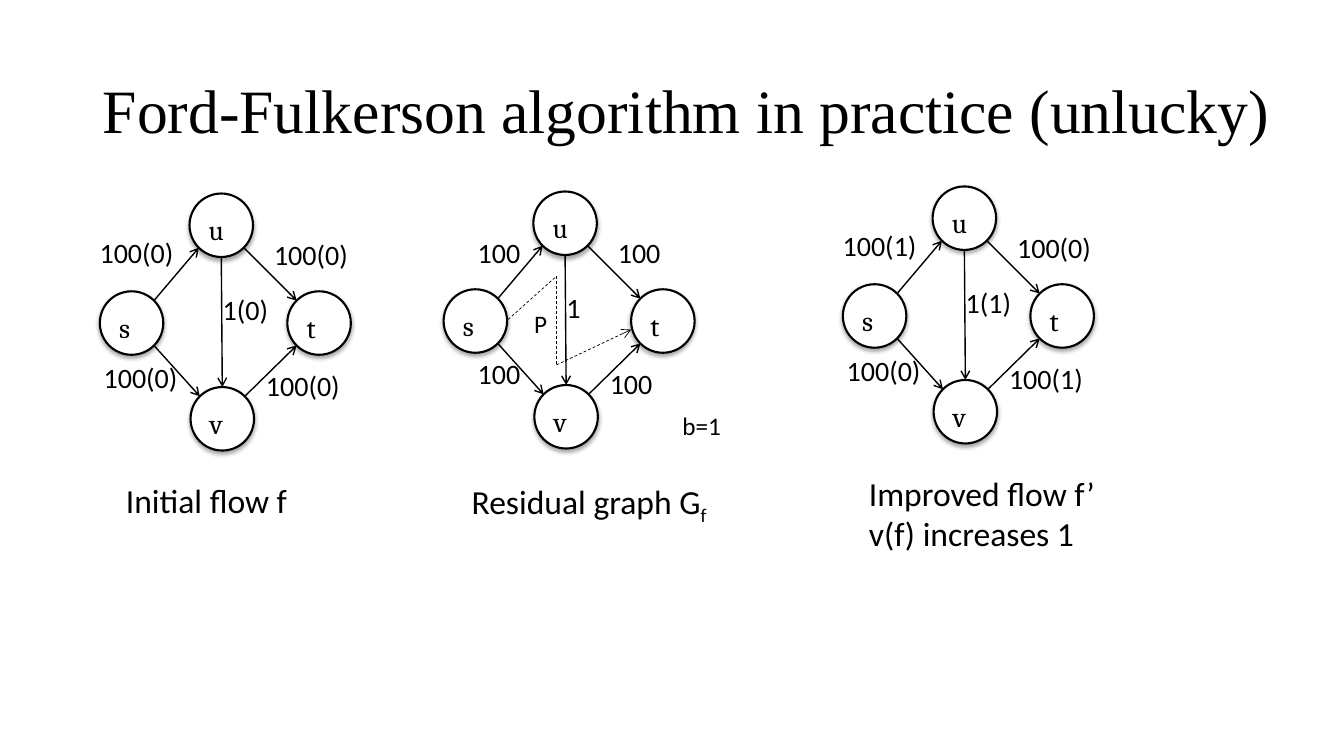
from lxml import etree
from pptx import Presentation
from pptx.dml.color import RGBColor
from pptx.enum.dml import MSO_LINE
from pptx.enum.shapes import MSO_CONNECTOR, MSO_SHAPE
from pptx.enum.text import MSO_ANCHOR, MSO_AUTO_SIZE, PP_ALIGN
from pptx.oxml.ns import qn
from pptx.util import Inches, Pt

STRAIGHT = MSO_CONNECTOR.STRAIGHT
OVAL = MSO_SHAPE.OVAL
DASH = MSO_LINE.DASH
TOP, MIDDLE = MSO_ANCHOR.TOP, MSO_ANCHOR.MIDDLE
LEFT = PP_ALIGN.LEFT
FIT_SHAPE, NO_FIT = MSO_AUTO_SIZE.SHAPE_TO_FIT_TEXT, MSO_AUTO_SIZE.NONE

BLACK, WHITE = "000000", "FFFFFF"
DIAMETER = 0.63
RADIUS = DIAMETER / 2
DIAGONAL = RADIUS * 0.5 ** 0.5

# Offsets from the left edge of node s and the top edge of node u
NODES = {"u": (0.89, 0), "t": (1.86, 0.97), "s": (0, 0.97), "v": (0.9, 1.92)}
LABEL_PLACES = {"su": (-0.1, 0.37), "ut": (1.63, 0.39), "sv": (-0.06, 1.61),
                "vt": (1.55, 1.69), "uv": (1.12, 0.93)}
RESIDUAL_PLACES = {**LABEL_PLACES, "su": (0.24, 0.39), "sv": (0.24, 1.59)}
LABEL_WIDTHS = {1: 0.34, 3: 0.64, 4: 0.66, 6: 0.94}


def colour(hex_string):
    return RGBColor.from_string(hex_string)


def add_span(para, text, size=20, font="Calibri", subscript=False):
    span = para.add_run()
    span.text = text
    span.font.size = Pt(size)
    span.font.name = font
    span.font.color.rgb = colour(BLACK)
    if subscript:
        span._r.get_or_add_rPr().set("baseline", "-25000")


def add_text(slide, text, left, top, width, height=0.44, size=20):
    """Add an unwrapped text box with one paragraph per line of text."""
    box = slide.shapes.add_textbox(Inches(left), Inches(top), Inches(width), Inches(height))
    frame = box.text_frame
    frame.word_wrap = False
    frame.auto_size = FIT_SHAPE
    for index, line in enumerate(text.split("\n")):
        para = frame.add_paragraph() if index else frame.paragraphs[0]
        add_span(para, line, size=size)
    return box


def add_line(slide, start, end, width=1, dashed=False, arrow=True):
    line = slide.shapes.add_connector(STRAIGHT, *(Inches(value) for value in (*start, *end)))
    line.line.color.rgb = colour(BLACK)
    line.line.width = Pt(width)
    if dashed:
        line.line.dash_style = DASH
    if arrow:
        etree.SubElement(line.line._get_or_add_ln(), qn("a:tailEnd"), type="arrow")
    etree.SubElement(line._element.spPr, qn("a:effectLst"))


def add_shadow(shape):
    effects = etree.SubElement(shape._element.spPr, qn("a:effectLst"))
    shadow = etree.SubElement(effects, qn("a:outerShdw"), blurRad=str(Pt(3)),
                              dist=str(Pt(2)), dir="5400000", rotWithShape="0")
    black = etree.SubElement(shadow, qn("a:srgbClr"), val=BLACK)
    etree.SubElement(black, qn("a:alpha"), val="35000")


def add_node(slide, name, left, top):
    node = slide.shapes.add_shape(OVAL, Inches(left), Inches(top),
                                  Inches(DIAMETER), Inches(DIAMETER))
    node.fill.solid()
    node.fill.fore_color.rgb = colour(WHITE)
    node.line.color.rgb = colour(BLACK)
    node.line.width = Pt(1.5)
    add_shadow(node)
    frame = node.text_frame
    frame.vertical_anchor = TOP
    frame.margin_left = frame.margin_right = Inches(0.1)
    frame.margin_top = frame.margin_bottom = Inches(0.1)
    para = frame.paragraphs[0]
    para.alignment = LEFT
    add_span(para, name, font="Cambria")


def edge_ends(source, target):
    """Return where an edge leaves and meets the rims of two nodes."""
    (x1, y1), (x2, y2) = source, target
    down = 1 if y2 > y1 else -1
    if abs(x2 - x1) < RADIUS:
        return (x1, y1 + down * RADIUS), (x2, y2 - down * RADIUS)
    return (x1 + DIAGONAL, y1 + down * DIAGONAL), (x2 - DIAGONAL, y2 - down * DIAGONAL)


def add_graph(slide, left, top, labels, places=LABEL_PLACES):
    centres = {}
    for name, (dx, dy) in NODES.items():
        add_node(slide, name, left + dx, top + dy)
        centres[name] = (left + dx + RADIUS, top + dy + RADIUS)
    for (source, target), label in labels.items():
        add_line(slide, *edge_ends(centres[source], centres[target]))
        dx, dy = places[source + target]
        add_text(slide, label, left + dx, top + dy, LABEL_WIDTHS[len(label)])


def add_augmenting_path(slide):
    corners = [(5.04, 3.17), (5.52, 2.74), (5.52, 3.62), (6.26, 3.27)]
    for start, end in zip(corners, corners[1:]):
        add_line(slide, start, end, width=0.5, dashed=True, arrow=end == corners[-1])
    add_text(slide, "P", 5.2, 3.01, 0.33, 0.4, size=18)


def set_title(slide, text):
    title = slide.shapes.title
    title.left, title.top = Inches(0.92), Inches(0.4)
    title.width, title.height = Inches(11.9), Inches(1.45)
    frame = title.text_frame
    frame.vertical_anchor = MIDDLE
    frame.auto_size = NO_FIT
    para = frame.paragraphs[0]
    para.alignment = LEFT
    para.line_spacing = 0.9
    add_span(para, text, size=44, font="Times New Roman")


def main():
    deck = Presentation()
    deck.slide_width, deck.slide_height = Inches(13.33), Inches(7.5)
    slide = deck.slides.add_slide(deck.slide_layouts[5])
    set_title(slide, "Ford-Fulkerson algorithm in practice (unlucky)")

    add_graph(slide, 0.99, 1.92, {"su": "100(0)", "ut": "100(0)", "sv": "100(0)",
                                  "vt": "100(0)", "uv": "1(0)"})
    add_text(slide, "Initial flow f", 1.15, 4.71, 1.82, 0.5, size=24)

    add_graph(slide, 4.4, 1.9, {"su": "100", "ut": "100", "sv": "100",
                                "vt": "100", "uv": "1"}, RESIDUAL_PLACES)
    add_augmenting_path(slide)
    caption = add_text(slide, "Residual graph G", 4.58, 4.72, 2.56, 0.5, size=24)
    add_span(caption.text_frame.paragraphs[0], "f", size=24, subscript=True)
    add_text(slide, "b=1", 6.67, 4.02, 0.59, 0.4, size=18)

    add_graph(slide, 8.36, 1.85, {"su": "100(1)", "ut": "100(0)", "sv": "100(0)",
                                  "vt": "100(1)", "uv": "1(1)"})
    add_text(slide, "Improved flow f’\nv(f) increases 1", 8.52, 4.64, 2.47, 0.91, size=24)

    deck.save("out.pptx")


if __name__ == "__main__":
    main()
